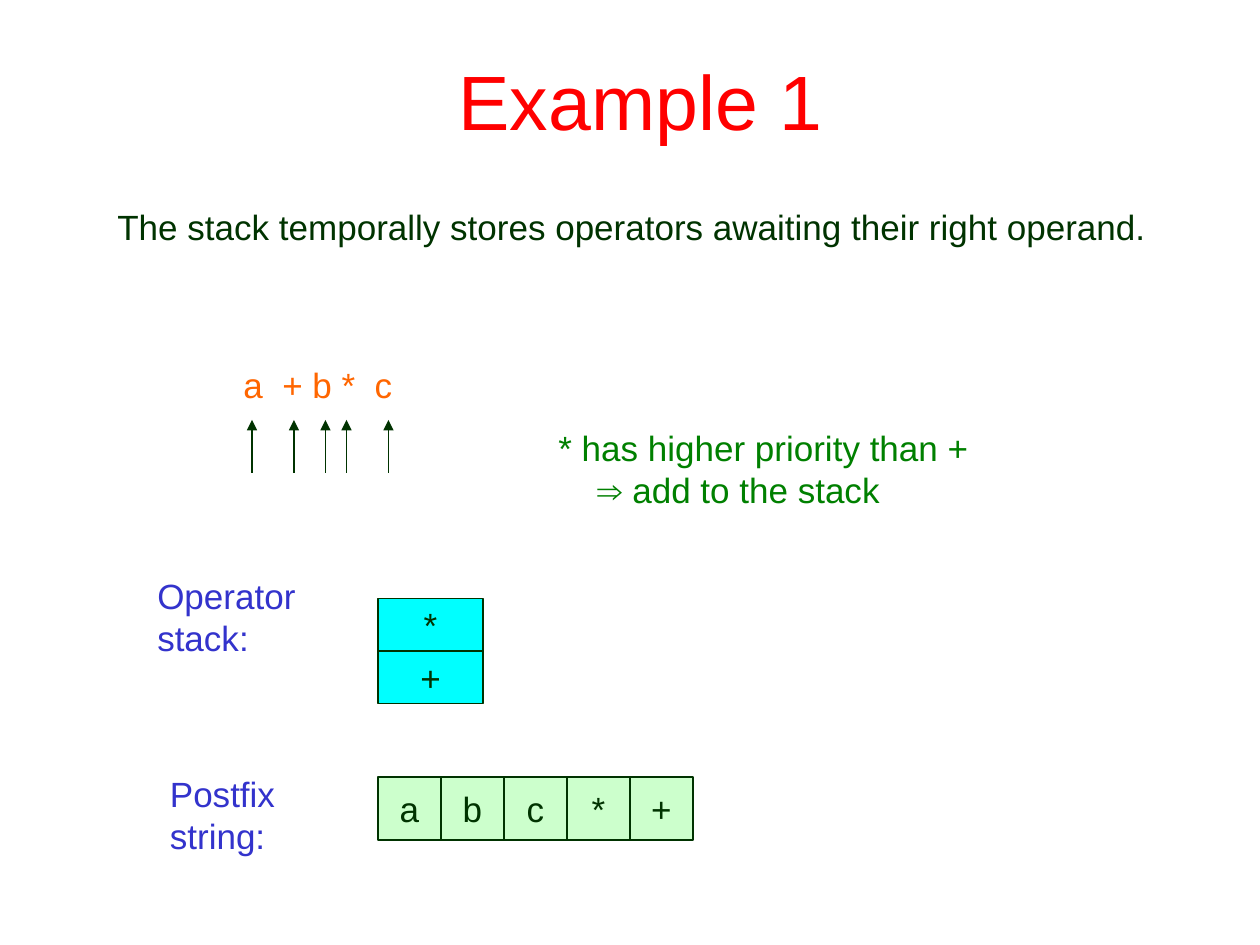
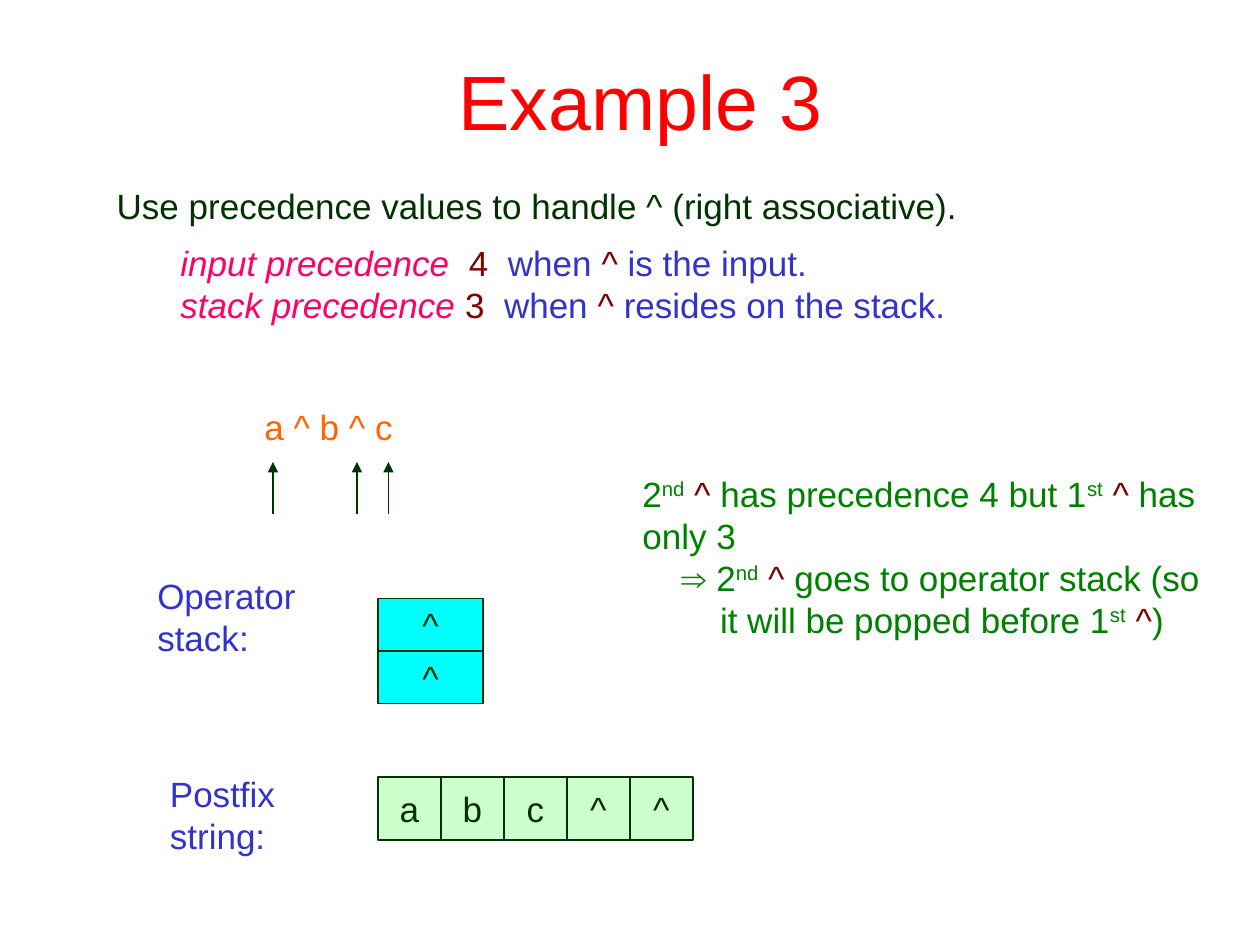
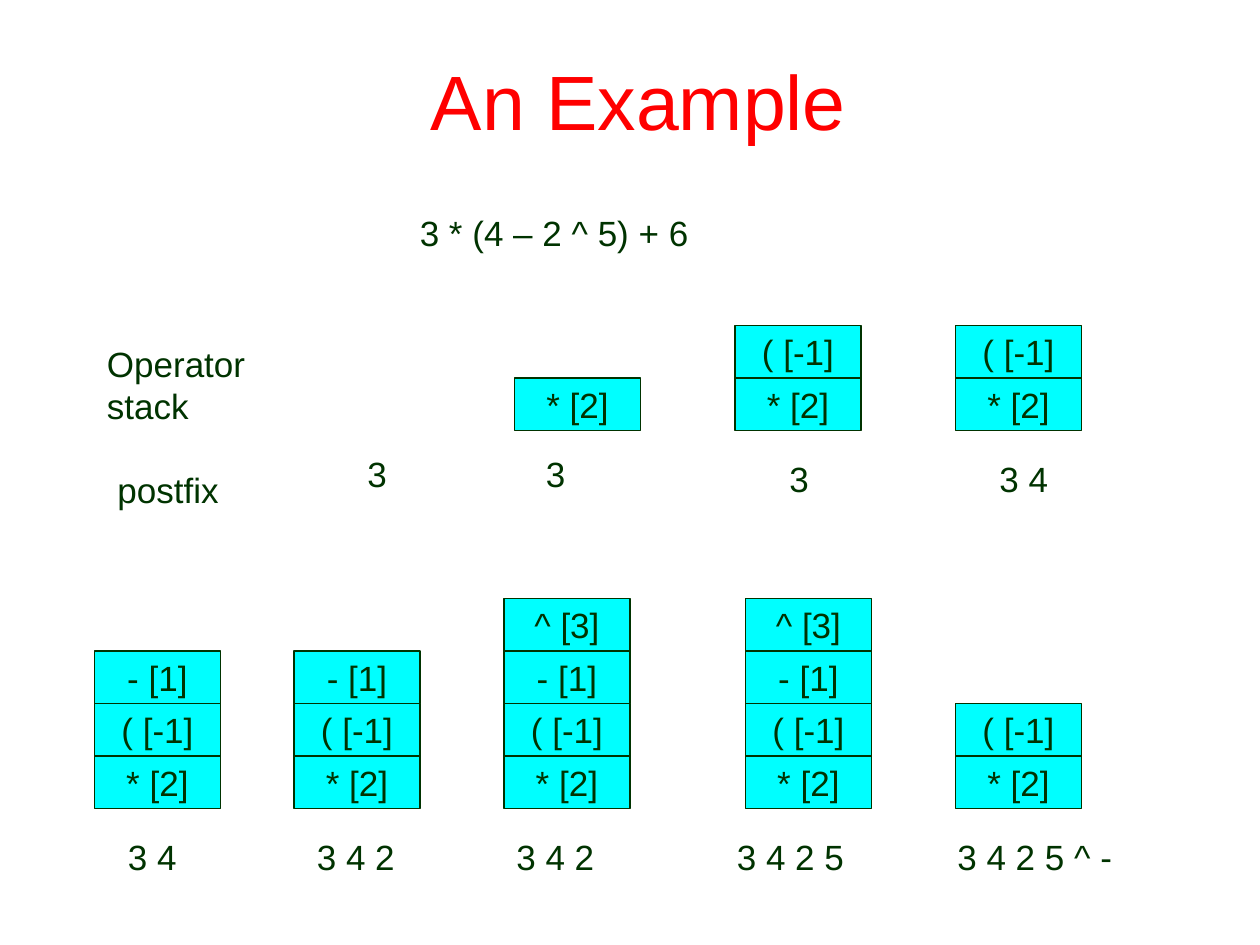
from dataclasses import dataclass

from lxml import etree
from pptx import Presentation
from pptx.dml.color import RGBColor
from pptx.enum.shapes import MSO_CONNECTOR, MSO_SHAPE
from pptx.enum.text import MSO_ANCHOR, MSO_AUTO_SIZE, PP_ALIGN
from pptx.oxml.ns import qn
from pptx.shapes.shapetree import GroupShapes, SlideShapes
from pptx.slide import Slide
from pptx.text.text import TextFrame
from pptx.util import Inches, Pt

CENTER = PP_ALIGN.CENTER
MIDDLE = MSO_ANCHOR.MIDDLE
GROW = MSO_AUTO_SIZE.SHAPE_TO_FIT_TEXT
RECTANGLE = MSO_SHAPE.RECTANGLE
STRAIGHT = MSO_CONNECTOR.STRAIGHT
TITLE_ONLY = 5


@dataclass(frozen=True)
class Theme:
    font: str = "Arial"
    title_size: int = 44
    text_size: int = 20
    line_width: float = 0.75
    title: str = "FF0000"
    ink: str = "003300"
    label: str = "3333CC"
    formula: str = "FF6600"
    remark: str = "008000"
    symbol: str = "800000"
    term: str = "FF0066"
    stack_fill: str = "00FFFF"
    postfix_fill: str = "CCFFCC"


THEME = Theme()


@dataclass(frozen=True)
class Span:
    text: str
    color: str = THEME.ink
    italic: bool = False
    raised: bool = False


@dataclass(frozen=True)
class Line:
    spans: tuple[Span, ...]
    indent: float = 0  # grid columns


@dataclass(frozen=True)
class Box:
    """A place on the grid of 120 columns by 90 rows."""
    left: float
    top: float
    width: float
    height: float


@dataclass(frozen=True)
class Stack:
    """Operators on a stack, the lowest first."""
    left: float
    bottom: float
    items: tuple[str, ...]
    width: float = 12


@dataclass(frozen=True)
class Postfix:
    left: float
    top: float
    width: float
    text: str


def grid(cells: float) -> int:
    """One grid cell is a twelfth of an inch."""
    return Inches(cells / 12)


def plain(text: str, color: str = THEME.ink, indent: float = 0) -> Line:
    return Line((Span(text, color),), indent)


# Text
def write(frame: TextFrame, lines: list[Line], size: int = THEME.text_size,
          centered: bool = False) -> None:
    for number, line in enumerate(lines):
        para = frame.add_paragraph() if number else frame.paragraphs[0]
        if centered:
            para.alignment = CENTER
        if line.indent:
            para._p.get_or_add_pPr().set("marL", str(grid(line.indent)))
        for span in line.spans:
            run = para.add_run()
            run.text = span.text
            run.font.name = THEME.font
            run.font.size = Pt(size)
            run.font.color.rgb = RGBColor.from_string(span.color)
            if span.italic:
                run.font.italic = True
            if span.raised:
                run._r.get_or_add_rPr().set("baseline", "30000")


def add_text(page: Slide, place: Box, lines: list[Line], wrap: bool = False) -> None:
    box = page.shapes.add_textbox(grid(place.left), grid(place.top),
                                  grid(place.width), grid(place.height))
    box.text_frame.word_wrap = wrap
    box.text_frame.auto_size = GROW
    write(box.text_frame, lines)


def add_page(deck: Presentation, title: str) -> Slide:
    page = deck.slides.add_slide(deck.slide_layouts[TITLE_ONLY])
    heading = page.shapes.title
    heading.left, heading.top = grid(9), grid(2)
    heading.width, heading.height = grid(102), grid(15)
    heading.text_frame.vertical_anchor = MIDDLE
    write(heading.text_frame, [plain(title, THEME.title)], THEME.title_size, True)
    return page


# Cells, stacks and arrows
def add_cell(shapes: SlideShapes | GroupShapes, place: Box, text: str, fill: str) -> None:
    cell = shapes.add_shape(RECTANGLE, grid(place.left), grid(place.top),
                            grid(place.width), grid(place.height))
    cell.shadow.inherit = False
    cell.fill.solid()
    cell.fill.fore_color.rgb = RGBColor.from_string(fill)
    cell.line.color.rgb = RGBColor.from_string(THEME.ink)
    cell.line.width = Pt(THEME.line_width)
    cell.text_frame.word_wrap = False
    cell.text_frame.vertical_anchor = MIDDLE
    write(cell.text_frame, [plain(text)], centered=True)


def add_stack(shapes: SlideShapes | GroupShapes, stack: Stack, height: float = 5) -> None:
    for level, item in enumerate(stack.items, start=1):
        place = Box(stack.left, stack.bottom - level * height, stack.width, height)
        add_cell(shapes, place, item, THEME.stack_fill)


def add_arrow(page: Slide, column: float, tip: float, length: float = 5) -> None:
    arrow = page.shapes.add_connector(STRAIGHT, grid(column), grid(tip + length),
                                      grid(column), grid(tip))
    arrow.line.color.rgb = RGBColor.from_string(THEME.ink)
    arrow.line.width = Pt(THEME.line_width)
    etree.SubElement(arrow.line._get_or_add_ln(), qn("a:tailEnd"), type="triangle")
    etree.SubElement(arrow._element.spPr, qn("a:effectLst"))


def add_conversion(page: Slide, arrows: list[float], tip: float,
                   operators: tuple[str, ...], postfix: str) -> None:
    """Arrows under the formula, the labelled stack and the postfix string."""
    for column in arrows:
        add_arrow(page, column, tip)
    add_text(page, Box(13.8, 54.1, 15.6, 9.2),
             [plain("Operator", THEME.label), plain("stack:", THEME.label)])
    add_stack(page.shapes, Stack(36, 67, operators, width=10))
    add_text(page, Box(15, 73, 13.3, 9.2),
             [plain("Postfix ", THEME.label), plain("string:", THEME.label)])
    for number, item in enumerate(postfix):
        add_cell(page.shapes, Box(36 + 6 * number, 74, 6, 6), item, THEME.postfix_fill)


# Slide 1
def build_priority(deck: Presentation) -> None:
    page = add_page(deck, " Example 1")
    add_text(page, Box(10, 19, 103, 5.3),
             [plain("The stack temporally stores operators awaiting their right operand.")],
             wrap=True)
    add_text(page, Box(22, 34, 16.7, 5.3), [plain("a  + b *  c", THEME.formula)])
    add_conversion(page, [24, 28, 31, 33, 37], 40, ("+", "*"), "abc*+")
    add_text(page, Box(52, 40, 42.2, 9.2),
             [plain("* has higher priority than + ", THEME.remark),
              plain("⇒ add to the stack", THEME.remark, 3.7)])


# Slide 2
def build_precedence(deck: Presentation) -> None:
    def remark(text: str, raised: bool = False) -> Span:
        return Span(text, THEME.remark, raised=raised)

    def rule(term: str, value: str, rest: str) -> Line:
        return Line((Span(term, THEME.term, italic=True), Span(value, THEME.symbol),
                     Span("when ", THEME.label), Span("^", THEME.symbol),
                     Span(rest, THEME.label)))

    caret = Span(" ^", THEME.symbol)
    second, first = remark("nd", True), remark("st", True)
    page = add_page(deck, " Example 3")
    add_text(page, Box(9, 17, 99.5, 6),
             [plain(" Use precedence values to handle ^ (right associative).")])
    add_text(page, Box(16, 22.4, 77.5, 10.8),
             [rule("input precedence  ", "4  ", " is the input."),
              rule("stack precedence ", "3  ", " resides on the stack.")])
    add_text(page, Box(24, 38, 17, 6), [plain("a ^ b ^ c", THEME.formula)])
    add_conversion(page, [26, 34, 37], 44, ("^", "^"), "abc^^")
    add_text(page, Box(60, 44.4, 57.6, 19.6), [
        Line((remark("2"), second, caret, remark(" has precedence 4 but 1"),
              first, caret, remark(" has "))),
        Line((remark("only 3"),)),
        Line((remark("⇒ 2"), second, caret,
              remark(" goes to operator stack (so ")), 3.7),
        Line((remark("it will be popped before 1"), first, caret, remark(")")), 7.4),
    ])


# Slide 3
def build_trace(deck: Presentation) -> None:
    times, bracket, minus, power = "* [2]", "( [-1]", "- [1]", "^ [3]"
    upper, lower = 41, 77  # rows where the stacks stand
    stacks = [
        Stack(49, upper, (times,)),
        Stack(70, upper, (times, bracket)),
        Stack(91, upper, (times, bracket)),
        Stack(9, lower, (times, bracket, minus)),
        Stack(28, lower, (times, bracket, minus)),
        Stack(48, lower, (times, bracket, minus, power)),
        Stack(71, lower, (times, bracket, minus, power)),
        Stack(91, lower, (times, bracket)),
    ]
    results = [
        Postfix(33.8, 42.5, 4.7, "3"),
        Postfix(50.8, 42.5, 4.7, "3"),
        Postfix(74, 43, 4.7, "3"),
        Postfix(94, 43, 7.9, "3 4"),
        Postfix(11, 79, 7.9, "3 4"),
        Postfix(29, 79, 11.3, "3 4 2"),
        Postfix(48, 79, 11.3, "3 4 2"),
        Postfix(69, 79, 14.6, "3 4 2 5"),
        Postfix(90, 79, 21.1, "3 4 2 5 ^ - "),
    ]
    page = add_page(deck, " An Example")
    add_text(page, Box(38.8, 19.6, 34.2, 6), [plain("3 * (4 – 2 ^ 5) + 6 ")])
    add_text(page, Box(9, 32, 16.4, 9.2), [plain("Operator "), plain("stack")])
    add_text(page, Box(10, 44, 12.5, 5.2), [plain("postfix")])
    for stack in stacks:
        several = len(stack.items) > 1
        add_stack(page.shapes.add_group_shape().shapes if several else page.shapes, stack)
    for result in results:
        add_text(page, Box(result.left, result.top, result.width, 6), [plain(result.text)])


deck = Presentation()
deck.slide_width, deck.slide_height = grid(120), grid(90)
build_priority(deck)
build_precedence(deck)
build_trace(deck)
deck.save("out.pptx")
